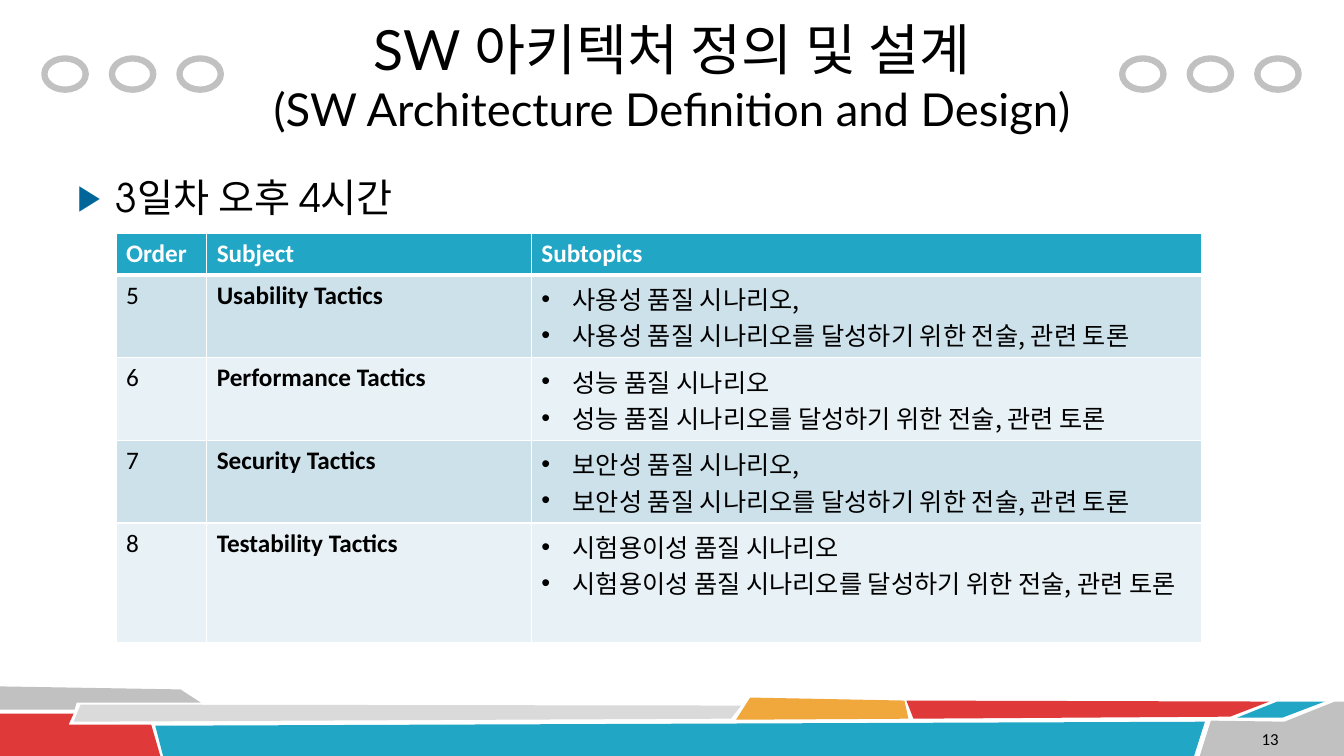
"""Build the architecture course slide listing the afternoon sessions of day three."""
from dataclasses import dataclass
from typing import Any

from lxml import etree
from pptx import Presentation
from pptx.dml.color import RGBColor
from pptx.enum.shapes import MSO_SHAPE
from pptx.enum.text import MSO_ANCHOR, MSO_AUTO_SIZE, PP_ALIGN
from pptx.oxml.ns import qn
from pptx.util import Inches, Pt

OVAL = MSO_SHAPE.OVAL
MIDDLE = MSO_ANCHOR.MIDDLE
NO_FIT = MSO_AUTO_SIZE.NONE
CENTER, RIGHT = PP_ALIGN.CENTER, PP_ALIGN.RIGHT
TITLE_ONLY = 5


@dataclass(frozen=True)
class Theme:
    """Colours, fonts and type sizes of the slide."""
    black: str = "000000"
    white: str = "FFFFFF"
    teal: str = "21A6C5"
    red: str = "DF3939"
    amber: str = "F0A73C"
    grey: str = "C1C1C1"
    light_grey: str = "DADADA"
    marker: str = "006699"
    bands: tuple[str, str] = ("CDE1EA", "E8F1F5")
    title_font: str = "Lato"
    lead_font: str = "TeX Gyre Adventor"
    table_font: str = "Calibri"
    korean_font: str = "Noto Sans CJK KR"
    title_size: float = 39.6
    subtitle_size: float = 32.4
    lead_size: float = 28
    table_size: float = 18
    number_size: float = 12


@dataclass(frozen=True)
class Ribbon:
    """A footer band with corners in hundredths of an inch."""
    color: str
    corners: tuple[tuple[int, int], ...]


@dataclass(frozen=True)
class Session:
    """A table row: order, subject and subtopics."""
    order: str
    subject: str
    subtopics: tuple[str, str]
    height: float = 0.82


THEME = Theme()
RIBBONS = (
    Ribbon(THEME.grey, ((0, 681), (179, 684), (199, 697), (76, 697), (74, 704), (0, 704))),
    Ribbon(THEME.red, ((0, 708), (73, 708), (68, 719), (150, 719), (159, 750), (0, 750))),
    Ribbon(THEME.light_grey, ((80, 699), (735, 700), (725, 713), (73, 716))),
    Ribbon(THEME.teal, ((154, 720), (1195, 716), (1184, 751), (162, 751))),
    Ribbon(THEME.amber, ((744, 692), (897, 695), (901, 713), (730, 714))),
    Ribbon(THEME.red, ((899, 695), (1259, 696), (1220, 711), (906, 713))),
    Ribbon(THEME.teal, ((1267, 696), (1314, 696), (1272, 712), (1227, 712))),
    Ribbon(THEME.grey, ((1201, 715), (1274, 716), (1324, 696), (1333, 696),
                        (1333, 750), (1190, 750))),
)
RING_STARTS = (0.44, 11.13)
RING_STEP = 0.67
HEADINGS = ("Order", "Subject", "Subtopics")
COLUMN_WIDTHS = (0.9, 3.22, 6.65)
HEADER_HEIGHT = 0.41
SESSIONS = (
    Session("5", "Usability Tactics",
            ("사용성 품질 시나리오,", "사용성 품질 시나리오를 달성하기 위한 전술, 관련 토론")),
    Session("6", "Performance Tactics",
            ("성능 품질 시나리오", "성능 품질 시나리오를 달성하기 위한 전술, 관련 토론")),
    Session("7", "Security Tactics",
            ("보안성 품질 시나리오,", "보안성 품질 시나리오를 달성하기 위한 전술, 관련 토론")),
    Session("8", "Testability Tactics",
            ("시험용이성 품질 시나리오", "시험용이성 품질 시나리오를 달성하기 위한 전술, 관련 토론"),
            1.19),
)


def apply(target: Any, values: dict[str, Any]) -> None:
    """Set every named attribute on the target."""
    for name, value in values.items():
        setattr(target, name, value)


def place(box: Any, left: float, top: float, width: float, height: float) -> None:
    """Position a shape in inches."""
    apply(box, {"left": Inches(left), "top": Inches(top),
                "width": Inches(width), "height": Inches(height)})


def write(paragraph: Any, text: str, font: str, size: float,
          color: str = THEME.black, bold: bool = False) -> None:
    """Add a run with Latin and Korean typefaces."""
    run = paragraph.add_run()
    run.text = text
    apply(run.font, {"name": font, "size": Pt(size), "bold": bold})
    run.font.color.rgb = RGBColor.from_string(color)
    korean = etree.Element(qn("a:ea"), typeface=THEME.korean_font)
    run.font._element.find(qn("a:latin")).addnext(korean)


def add_bullet(paragraph: Any, mark: str, indent: float, color: str, percent: int) -> None:
    """Give a paragraph a hanging bullet."""
    props = paragraph._p.get_or_add_pPr()
    props.set("marL", str(Inches(indent)))
    props.set("indent", str(-Inches(indent)))
    tint = etree.SubElement(props, qn("a:buClr"))
    etree.SubElement(tint, qn("a:srgbClr"), val=color)
    etree.SubElement(props, qn("a:buSzPct"), val=str(percent * 1000))
    etree.SubElement(props, qn("a:buFont"), typeface="Arial")
    etree.SubElement(props, qn("a:buChar"), char=mark)


def style_cell(cell: Any, fill: str, top: float = 1, bottom: float = 1) -> None:
    """Draw white cell borders and fill the cell."""
    props = cell._tc.get_or_add_tcPr()
    for side, width in {"L": 1, "R": 1, "T": top, "B": bottom}.items():
        edge = etree.SubElement(props, qn(f"a:ln{side}"), w=str(Pt(width)))
        paint = etree.SubElement(edge, qn("a:solidFill"))
        etree.SubElement(paint, qn("a:srgbClr"), val=THEME.white)
    cell.fill.solid()
    cell.fill.fore_color.rgb = RGBColor.from_string(fill)


def draw_ribbon(slide: Any, ribbon: Ribbon) -> None:
    """Draw one footer band."""
    start, *rest = ribbon.corners
    builder = slide.shapes.build_freeform(*start, scale=Inches(0.01))
    builder.add_line_segments(rest, close=True)
    band = builder.convert_to_shape()
    band.shadow.inherit = False
    band.fill.solid()
    band.fill.fore_color.rgb = RGBColor.from_string(ribbon.color)
    band.line.fill.background()


def draw_ring(slide: Any, left: float) -> None:
    """Draw one decorative ring beside the title."""
    ring = slide.shapes.add_shape(OVAL, Inches(left), Inches(0.58), Inches(0.41), Inches(0.31))
    ring.shadow.inherit = False
    ring.fill.background()
    ring.line.width = Pt(4.5)
    ring.line.color.rgb = RGBColor.from_string(THEME.grey)


def draw_title(slide: Any) -> None:
    """Fill the title placeholder."""
    title = slide.shapes.title
    place(title, 2.33, 0.12, 8.67, 1.25)
    apply(title.text_frame, {"word_wrap": True, "auto_size": NO_FIT, "vertical_anchor": MIDDLE})
    heading = title.text_frame.paragraphs[0]
    heading.alignment = CENTER
    write(heading, "SW 아키텍처 정의 및 설계", THEME.title_font, THEME.title_size)
    heading.add_line_break()
    write(heading, "(SW Architecture Definition and Design)", THEME.title_font,
          THEME.subtitle_size)


def add_text(slide: Any, left: float, top: float, width: float, height: float) -> Any:
    """Add a wrapping text box and return its frame."""
    box = slide.shapes.add_textbox(Inches(left), Inches(top), Inches(width), Inches(height))
    box.text_frame.word_wrap = True
    return box.text_frame


def draw_table(slide: Any) -> None:
    """Draw the table of sessions."""
    heights = (HEADER_HEIGHT, *(session.height for session in SESSIONS))
    table = slide.shapes.add_table(len(heights), len(HEADINGS), Inches(1.15), Inches(2.32),
                                   Inches(sum(COLUMN_WIDTHS)), Inches(sum(heights))).table
    for column, width in zip(table.columns, COLUMN_WIDTHS):
        column.width = Inches(width)
    for row, height in zip(table.rows, heights):
        row.height = Inches(height)
    for cell, heading in zip(table.rows[0].cells, HEADINGS):
        style_cell(cell, THEME.teal, bottom=3)
        write(cell.text_frame.paragraphs[0], heading, THEME.table_font, THEME.table_size,
              THEME.white, True)
    for index, session in enumerate(SESSIONS):
        cells = tuple(table.rows[index + 1].cells)
        for cell in cells:
            style_cell(cell, THEME.bands[index % 2], top=1 if index else 3)
        order, subject, subtopics = (cell.text_frame for cell in cells)
        write(order.paragraphs[0], session.order, THEME.table_font, THEME.table_size)
        write(subject.paragraphs[0], session.subject, THEME.table_font, THEME.table_size,
              bold=True)
        for line, topic in enumerate(session.subtopics):
            paragraph = subtopics.add_paragraph() if line else subtopics.paragraphs[0]
            add_bullet(paragraph, "•", 0.31, THEME.black, 100)
            write(paragraph, topic, THEME.korean_font, THEME.table_size)


def main() -> None:
    """Assemble and save the slide."""
    deck = Presentation()
    apply(deck, {"slide_width": Inches(13.33), "slide_height": Inches(7.5)})
    slide = deck.slides.add_slide(deck.slide_layouts[TITLE_ONLY])
    for ribbon in RIBBONS:
        draw_ribbon(slide, ribbon)
    for start in RING_STARTS:
        for step in range(3):
            draw_ring(slide, start + step * RING_STEP)
    draw_title(slide)
    lead = add_text(slide, 0.67, 1.67, 12, 0.6).paragraphs[0]
    apply(lead, {"space_before": Pt(5.6), "space_after": Pt(6)})
    add_bullet(lead, "▶", 0.38, THEME.marker, 90)
    write(lead, "3일차 오후 4시간", THEME.lead_font, THEME.lead_size)
    footer = add_text(slide, 12.11, 7.2, 0.67, 0.25)
    footer.vertical_anchor = MIDDLE
    footer.paragraphs[0].alignment = RIGHT
    write(footer.paragraphs[0], "13", THEME.table_font, THEME.number_size)
    draw_table(slide)
    deck.save("out.pptx")


if __name__ == "__main__":
    main()
